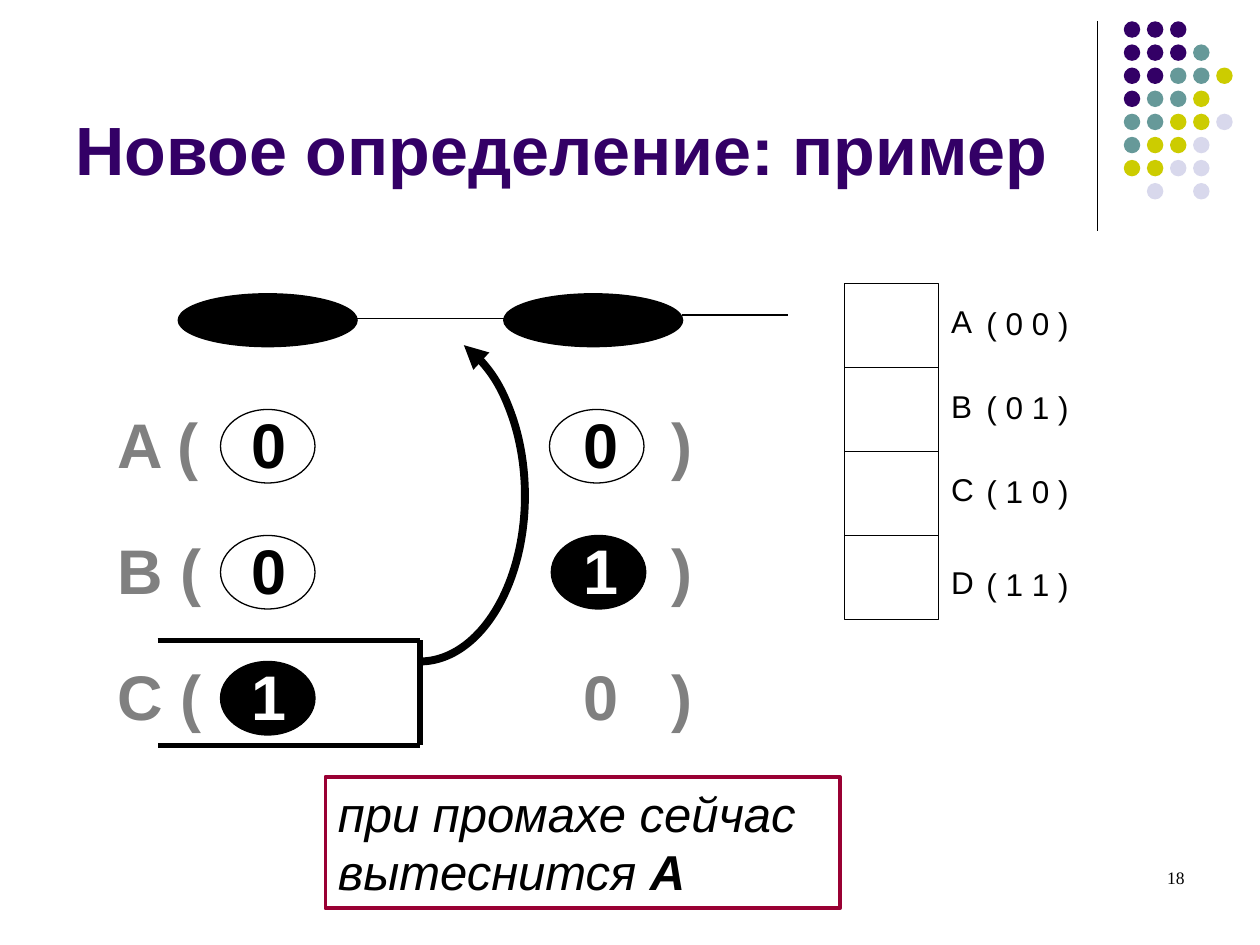
from lxml.etree import SubElement
from pptx import Presentation
from pptx.dml.color import RGBColor
from pptx.enum.shapes import MSO_CONNECTOR, MSO_SHAPE
from pptx.enum.text import MSO_ANCHOR, PP_ALIGN
from pptx.oxml.ns import qn
from pptx.util import Pt

BLACK, WHITE, GREY, PURPLE = "000000", "FFFFFF", "808080", "330066"
DOTS = {"P": PURPLE, "T": "669999", "Y": "CCCC00", "L": "D8D8EC"}
GRID = ["PPP", "PPPT", "PPTTY", "PTTY", "TTYYL", "TYYL", "YYLL", " L L"]
STOPS = (76.5, 266.5, 316.5)


def paint(part, shade):
    """Set a solid colour on a fill."""
    part.solid()
    part.fore_color.rgb = RGBColor.from_string(shade)


def style(item, fmt):
    """Set each format value on an item."""
    for key, value in fmt.items():
        setattr(item, key, value)


def draw(slide, kind, box, fill=None, line=None, width=0.75):
    """Add a preset shape with an optional fill and line."""
    shape = slide.shapes.add_shape(kind, *map(Pt, box))
    shape.shadow.inherit = False
    for part, shade in ((shape.fill, fill), (shape.line.fill, line)):
        if shade:
            paint(part, shade)
        else:
            part.background()
    if line:
        shape.line.width = Pt(width)
    return shape


def link(slide, start, end, width=0.75):
    """Add a straight black line."""
    line = slide.shapes.add_connector(
        MSO_CONNECTOR.STRAIGHT, *map(Pt, (*start, *end)))
    paint(line.line.fill, BLACK)
    line.line.width = Pt(width)
    SubElement(line.element.spPr, qn("a:effectLst"))


def write(shape, runs, size, name="Arial", frame=None, align=PP_ALIGN.LEFT):
    """Fill a shape with one paragraph of (text, colour, format) runs."""
    style(shape.text_frame, {"word_wrap": True,
                             "vertical_anchor": MSO_ANCHOR.TOP,
                             **(frame or {})})
    para = shape.text_frame.paragraphs[0]
    para.alignment = align
    for text, shade, fmt in runs:
        run = para.add_run()
        run.text = text
        style(run.font, {"size": Pt(size), "name": name, **fmt})
        paint(run.font.fill, shade)
    return para


def label(slide, box, runs, size, **rest):
    """Add a text box."""
    return write(slide.shapes.add_textbox(*map(Pt, box)), runs, size, **rest)


def row(slide, top, runs):
    """Add one bold state row whose digits sit on tab stops."""
    para = label(slide, (60, top, 360, 50.4),
                 [(text, shade, {"bold": True}) for text, shade in runs], 36)
    tabs = SubElement(para._p.get_or_add_pPr(), qn("a:tabLst"))
    for stop in STOPS:
        SubElement(tabs, qn("a:tab"), pos=str(Pt(stop)), algn="l")


def corner(slide):
    """Add the dot grid and the rule beside it."""
    link(slide, (627, 12), (627, 132))
    for j, line in enumerate(GRID):
        for i, key in enumerate(line):
            if key in DOTS:
                box = (642.2 + 13.2 * i, 12.2 + 13.2 * j, 9.4, 9.4)
                draw(slide, MSO_SHAPE.OVAL, box, DOTS[key])


def stack(slide):
    """Add the four cells with their names and bit pairs."""
    cells = [("A", "( 0 0 )", 169.2), ("B", "( 0 1 )", 217.4),
             ("C", "( 1 0 )", 265.2), ("D", "( 1 1 )", 318.2)]
    for i, (name, bits, top) in enumerate(cells):
        draw(slide, MSO_SHAPE.RECTANGLE, (482.4, 162 + 48 * i, 54, 48),
             line=BLACK)
        for left, wide, text, drop in ((536.4, 26.6, name, 0),
                                       (556.6, 61.2, bits, 0.9)):
            label(slide, (left, top + drop, wide, 28.8), [(text, BLACK, {})],
                  18, frame={"word_wrap": False})


def heads(slide):
    """Add the two head ovals and the lines that join them."""
    for left in (102, 288):
        draw(slide, MSO_SHAPE.OVAL, (left, 168, 102, 30), BLACK, BLACK, 1)
    link(slide, (204, 182.2), (288, 182.2))
    link(slide, (390, 180), (450, 180))


def states(slide):
    """Add the bit ovals and the three state rows."""
    for left, step, fill in ((126, 0, None), (314, 0, None), (126, 1, None),
                             (315, 1, BLACK), (126, 2, BLACK)):
        draw(slide, MSO_SHAPE.OVAL, (left, 234 + 72 * step, 54, 42),
             fill, BLACK)
    rows = [("A", ("0", BLACK), ("0", BLACK)),
            ("B", ("0", BLACK), ("1", WHITE)),
            ("C", ("1", WHITE), ("0", GREY))]
    for i, (name, one, two) in enumerate(rows):
        row(slide, 228 + 72 * i, [(f"{name} (\t", GREY), one, ("\t", GREY),
                                  two, ("\t)", GREY)])


def move(slide):
    """Add the bracket round the C bit and the curved arrow from it."""
    points = [(90, 366), (240, 366), (240, 426), (90, 426)]
    for start, end in zip(points, points[1:]):
        link(slide, start, end, 3)
    arc = draw(slide, MSO_SHAPE.ARC, (180, 188.6, 120, 189.4),
               line=BLACK, width=4.5)
    for i, angle in enumerate((286.26, 90)):
        arc.adjustments[i] = angle * 0.6
    SubElement(arc.line._get_or_add_ln(), qn("a:headEnd"), type="triangle")


def main():
    """Build the slide and save it."""
    deck = Presentation()
    style(deck, {"slide_width": Pt(720), "slide_height": Pt(540)})
    slide = deck.slides.add_slide(deck.slide_layouts[6])
    corner(slide)
    label(slide, (36, 9.4, 594, 102.2),
          [("Новое определение: пример", PURPLE, {"bold": True})], 39,
          frame={"vertical_anchor": MSO_ANCHOR.BOTTOM})
    stack(slide)
    heads(slide)
    states(slide)
    move(slide)
    note = draw(slide, MSO_SHAPE.RECTANGLE, (186, 444, 294, 75),
                line="990033", width=2.25)
    write(note, [("при промахе сейчас вытеснится ", BLACK, {"italic": True}),
                 ("А", BLACK, {"italic": True, "bold": True})], 28)
    label(slide, (516, 492, 168, 36), [("18", BLACK, {})], 10,
          name="Times New Roman", align=PP_ALIGN.RIGHT)
    deck.save("out.pptx")


if __name__ == "__main__":
    main()
